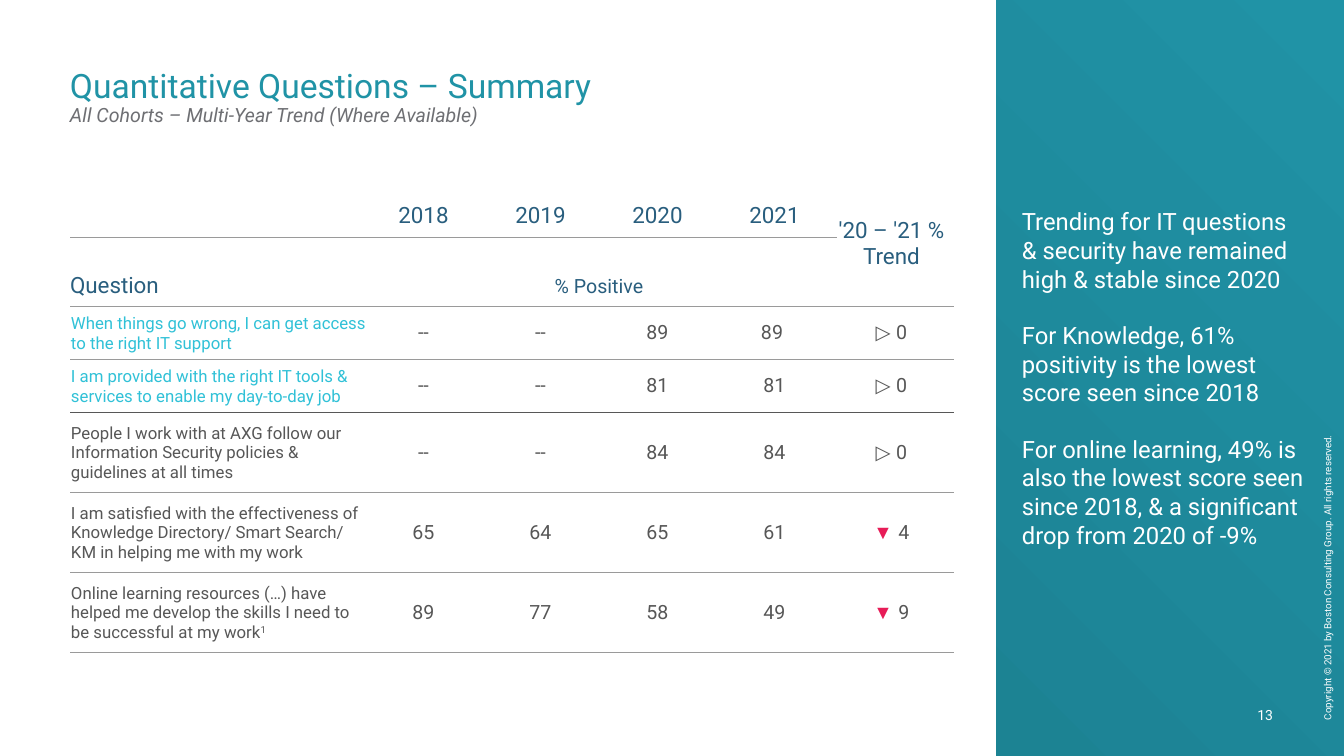
from lxml import etree
from pptx import Presentation
from pptx.dml.color import RGBColor
from pptx.enum.shapes import MSO_SHAPE
from pptx.enum.text import MSO_ANCHOR, PP_ALIGN
from pptx.oxml.ns import qn
from pptx.util import Pt

PX = 9071.43  # EMU per px, 100.8 px to the inch
LEFT, CENTER, RIGHT = PP_ALIGN.LEFT, PP_ALIGN.CENTER, PP_ALIGN.RIGHT
TOP, MIDDLE, BOTTOM = MSO_ANCHOR.TOP, MSO_ANCHOR.MIDDLE, MSO_ANCHOR.BOTTOM

WHITE = RGBColor(0xFF, 0xFF, 0xFF)
TEAL = RGBColor(0x20, 0x93, 0xA6)
DARK_TEAL = RGBColor(0x19, 0x72, 0x81)
NAVY = RGBColor(0x29, 0x5E, 0x7E)
CYAN = RGBColor(0x30, 0xC1, 0xD7)
RED = RGBColor(0xE7, 0x1C, 0x57)
TEXT_GRAY = RGBColor(0x57, 0x57, 0x57)
SUBTITLE_GRAY = RGBColor(0x6E, 0x6F, 0x73)
LINE_GRAY = RGBColor(0x9A, 0x9A, 0x9A)


def px(n):
    return round(n * PX)


def style(p, size, color, align=LEFT):
    p.alignment = align
    p.font.name, p.font.size, p.font.color.rgb = "Roboto", Pt(size), color


prs = Presentation()
prs.slide_width, prs.slide_height = px(1344), px(756)
s = prs.slides.add_slide(prs.slide_layouts[6])

# Gradient background and white content area
fill = s.background.fill
fill.gradient()
fill.gradient_angle = 225
for stop, color in zip(fill.gradient_stops, (TEAL, DARK_TEAL)):
    stop.color.rgb = color
sp = s.shapes.add_shape(MSO_SHAPE.RECTANGLE, 0, 0, px(996), px(756))
sp.shadow.inherit = False
sp.fill.solid()
sp.fill.fore_color.rgb = WHITE
sp.line.fill.background()

# Title, copyright line and page number
small_boxes = [
    ((70, 69, 893, 58), 0, TOP, "", 24, TEAL, LEFT, 0.9),
    ((1046, 432, 565, 11), 270, TOP,
     "Copyright © 2021 by Boston Consulting Group. All rights reserved.", 7, WHITE, LEFT, 0.9),
    ((1231, 706, 42, 17), 0, BOTTOM, "13", 10, WHITE, RIGHT, 1.0),
]
for box, rotation, anchor, text, size, color, align, spacing in small_boxes:
    sp = s.shapes.add_textbox(*map(px, box))
    sp.rotation = rotation
    tf = sp.text_frame
    tf.word_wrap = True
    tf.vertical_anchor = anchor
    tf.margin_left = tf.margin_top = tf.margin_right = tf.margin_bottom = 0
    p = tf.paragraphs[0]
    p.line_spacing = spacing
    if text:
        p.text = text
        style(p, size, color, align)
    else:
        for i, (line, pt, rgb) in enumerate([
            ("Quantitative Questions – Summary", size, color),
            ("All Cohorts – Multi-Year Trend (Where Available)", 14, SUBTITLE_GRAY),
        ]):
            if i:
                p.add_line_break()
            r = p.add_run()
            r.text = line
            r.font.name, r.font.size, r.font.color.rgb = "Roboto", Pt(pt), rgb
            r.font.italic = i == 1

# Survey table: column and row sizes
HEADINGS = ["", "2018", "2019", "2020", "2021", "'20 – '21 % Trend"]
QUESTIONS = [
    ("When things go wrong, I can get access to the right IT support",
     "--", "--", "89", "89 ", "▷ 0"),
    ("I am provided with the right IT tools & services to enable my day-to-day job",
     "--", "--", "81", "81", "▷ 0"),
    ("People I work with at AXG follow our Information Security policies & "
     "guidelines at all times", "--", "--", "84", "84", "▷ 0"),
    ("I am satisfied with the effectiveness of Knowledge Directory/ Smart Search/ "
     "KM in helping me with my work", "65", "64", "65", "61", "▼ 4"),
    ("Online learning resources (…) have helped me develop the skills I need to "
     "be successful at my work", "89", "77", "58", "49", "▼ 9"),
]
COLS = [299] + [117] * 5
ROWS = [56, 56, 53, 53, 80, 80, 80]
LAST_IT_ROW = 3
table = s.shapes.add_table(len(ROWS), len(COLS), px(70), px(181),
                           px(sum(COLS)), px(sum(ROWS))).table
table.first_row = table.horz_banding = False
for column, width in zip(table.columns, COLS):
    column.width = px(width)
for row, height in zip(table.rows, ROWS):
    row.height = px(height)
table.cell(0, 5).merge(table.cell(1, 5))
table.cell(1, 1).merge(table.cell(1, 4))

# Cell borders, margins and fills
for i in range(len(ROWS)):
    for j in range(len(COLS)):
        cell = table.cell(i, j)
        cell.vertical_anchor = BOTTOM if i < 2 and j < 5 else MIDDLE
        question = i > 1 and j == 0
        cell.margin_left = px(1 if question else 0)
        cell.margin_top = cell.margin_right = px(1 if question else 8)
        cell.margin_bottom = px(0 if question else 8)
        tcPr = cell._tc.get_or_add_tcPr()
        for side, edge in (("L", None), ("R", None), ("T", i), ("B", i + 1)):
            ln = etree.SubElement(tcPr, qn(f"a:ln{side}"))
            if not edge:
                etree.SubElement(ln, qn("a:noFill"))
                continue
            heavy = edge == LAST_IT_ROW + 1
            ln.set("w", str(Pt(1 if heavy else 0.75)))
            solid = etree.SubElement(ln, qn("a:solidFill"))
            etree.SubElement(solid, qn("a:srgbClr"), val=str(TEXT_GRAY if heavy else LINE_GRAY))
        cell.fill.background()

# Table headings
for j, heading in enumerate(HEADINGS):
    p = table.cell(0, j).text_frame.paragraphs[0]
    p.text = heading
    style(p, 16, NAVY, CENTER)
for j, heading, size, align in ((0, "Question", 16, LEFT), (1, "% Positive", 14, CENTER)):
    p = table.cell(1, j).text_frame.paragraphs[0]
    p.text = heading
    style(p, size, NAVY, align)

# Questions, scores and trends
for i, (question, *scores, trend) in enumerate(QUESTIONS, start=2):
    p = table.cell(i, 0).text_frame.paragraphs[0]
    p.text = question
    style(p, 12, CYAN if i <= LAST_IT_ROW else TEXT_GRAY)
    for j, score in enumerate(scores, start=1):
        p = table.cell(i, j).text_frame.paragraphs[0]
        p.text = score
        style(p, 14, TEXT_GRAY, CENTER)
    p = table.cell(i, 5).text_frame.paragraphs[0]
    style(p, 14, TEXT_GRAY, CENTER)
    r = p.add_run()
    r.text = trend[:2]
    r.font.name = "Arial"
    r.font.color.rgb = RED if trend[0] == "▼" else TEXT_GRAY
    p.add_run().text = trend[2:]

# Footnote mark on the last question
r = table.cell(len(ROWS) - 1, 0).text_frame.paragraphs[0].add_run()
r.text = "1"
r._r.get_or_add_rPr().set("baseline", "30000")

# Sidebar takeaways
TAKEAWAYS = [
    "Trending for IT questions & security have remained high & stable since 2020",
    "For Knowledge, 61% positivity is the lowest score seen since 2018",
    "For online learning, 49% is also the lowest score seen since 2018, "
    "& a significant drop from 2020 of -9%",
]
tf = s.shapes.add_textbox(px(1012), 0, px(304), px(756)).text_frame
tf.word_wrap = True
tf.vertical_anchor = MIDDLE
for i, takeaway in enumerate(TAKEAWAYS):
    p = tf.add_paragraph() if i else tf.paragraphs[0]
    p.text = takeaway
    style(p, 17, WHITE)
    if i:
        p.space_before = Pt(20)

prs.save("out.pptx")
